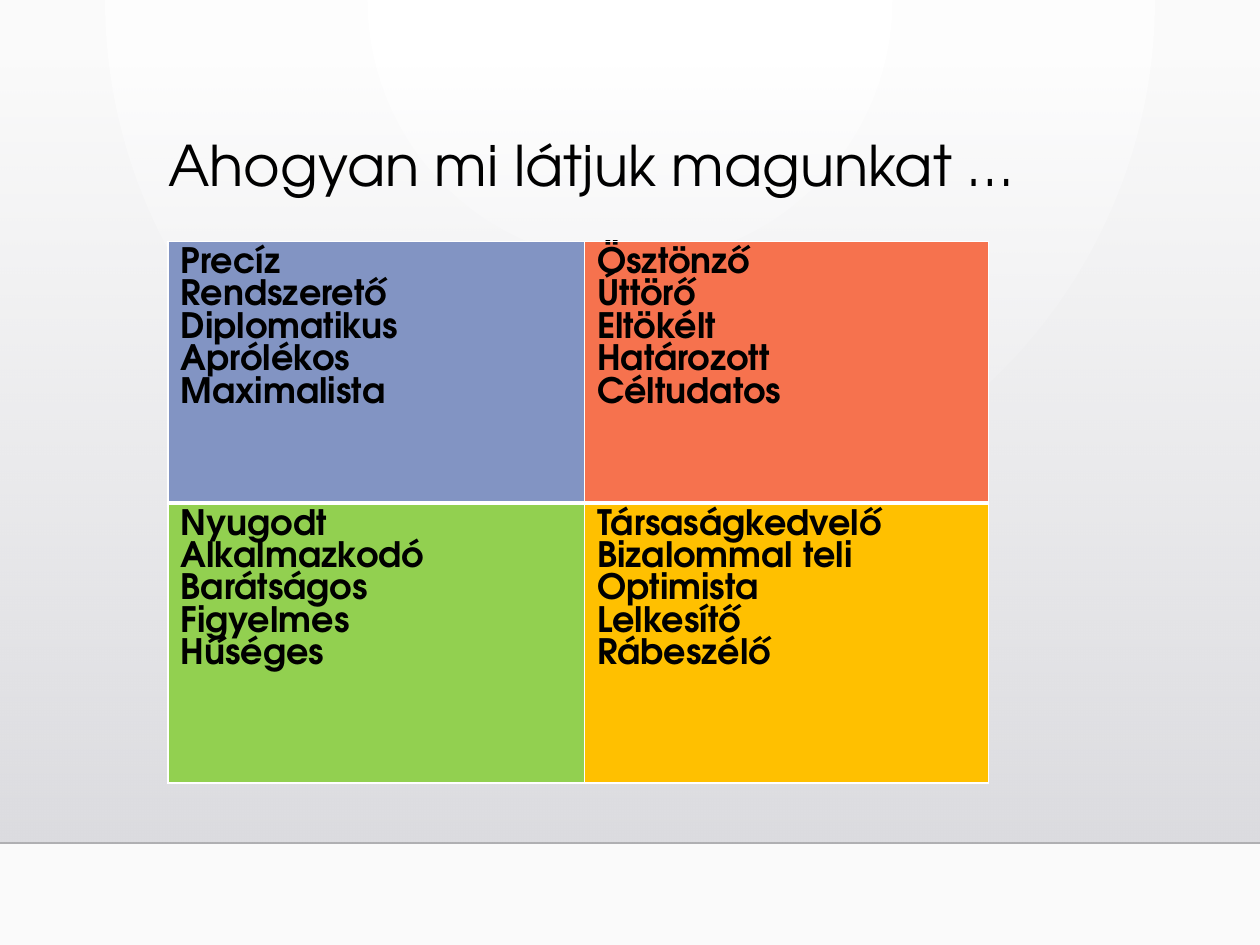
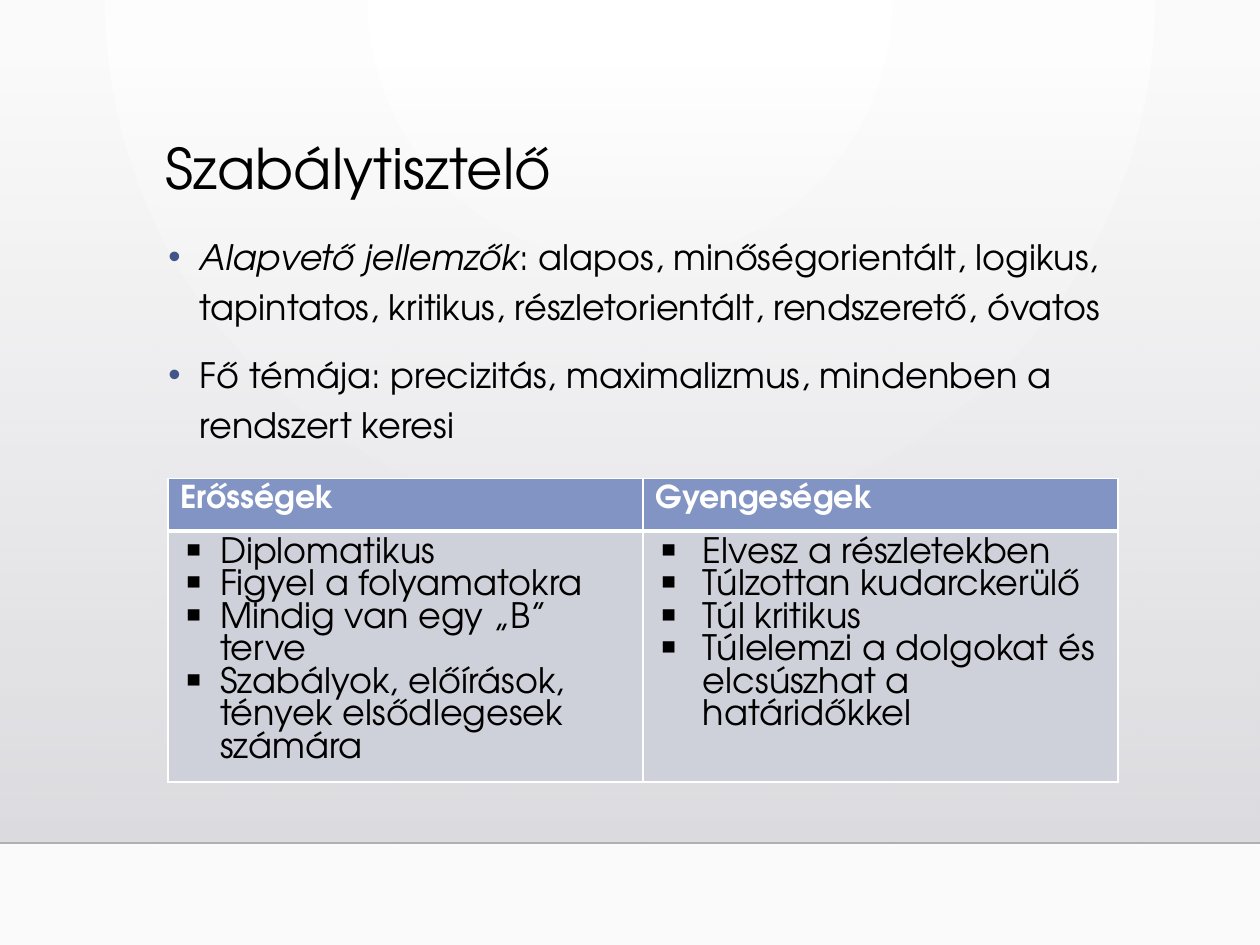
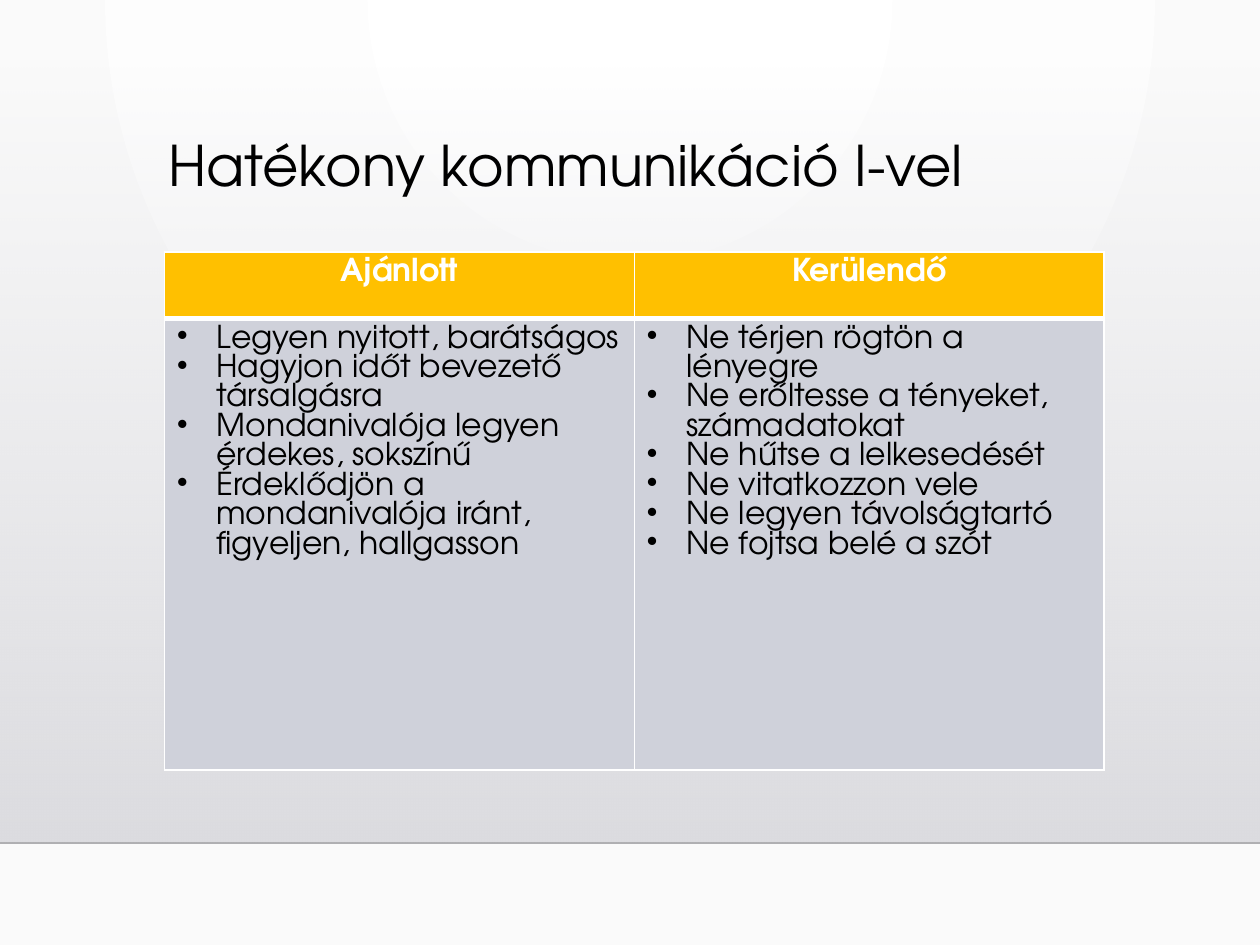
from lxml import etree
from pptx import Presentation
from pptx.dml.color import RGBColor
from pptx.enum.shapes import MSO_CONNECTOR as Connector, MSO_SHAPE as Preset
from pptx.enum.text import MSO_ANCHOR as Anchor, MSO_AUTO_SIZE as AutoSize, PP_ALIGN as Align
from pptx.oxml.ns import qn
from pptx.util import Pt

FONT = "TeX Gyre Adventor"
BLACK = RGBColor(0x00, 0x00, 0x00)
WHITE = RGBColor(0xFF, 0xFF, 0xFF)
PAPER = RGBColor(0xFA, 0xFA, 0xFA)
BAND_TOP = RGBColor(0xDC, 0xDC, 0xE0)
BAND_BOTTOM = RGBColor(0xDE, 0xDE, 0xE2)
RULE = RGBColor(0x00, 0x00, 0x01)
BULLET = RGBColor(0x41, 0x55, 0x88)
BLUE = RGBColor(0x82, 0x94, 0xC3)
RED = RGBColor(0xF6, 0x72, 0x4E)
GREEN = RGBColor(0x92, 0xD0, 0x50)
YELLOW = RGBColor(0xFF, 0xC0, 0x00)
GREY = RGBColor(0xCF, 0xD1, 0xDA)

TITLE_AND_BODY, TITLE_ONLY = 1, 5


def style_paragraph(para, size, color, bold=False, spacing=1.0, bullet=None, indent=0, bullet_color=None):
    """Set bullet, hanging indent (points), line spacing and font of a paragraph."""
    props = para._p.get_or_add_pPr()
    if bullet:
        props.set("marL", str(Pt(indent)))
        props.set("indent", str(-Pt(indent)))
        if bullet_color is not None:
            tint = etree.SubElement(props, qn("a:buClr"))
            etree.SubElement(tint, qn("a:srgbClr"), val=str(bullet_color))
        etree.SubElement(props, qn("a:buChar"), char=bullet)
    para.line_spacing = spacing
    para.space_before = Pt(0)
    for span in para.runs:
        span.font.name = FONT
        span.font.size = Pt(size)
        span.font.bold = bold
        span.font.color.rgb = color


def add_grid(page, left, top, widths, heights, cells):
    """Add a white-ruled table; each cell is (lines, fill, paragraph style, alignment)."""
    frame = page.shapes.add_table(len(heights), len(widths), Pt(left), Pt(top),
                                  Pt(sum(widths)), Pt(sum(heights)))
    table = frame.table
    table.first_row = table.horz_banding = False
    for column, width in zip(table.columns, widths):
        column.width = Pt(width)
    for row, height in zip(table.rows, heights):
        row.height = Pt(height)
    for index, (lines, fill, style, align) in enumerate(cells):
        row_number, column_number = divmod(index, len(widths))
        cell = table.cell(row_number, column_number)
        cell.text_frame.text = "\n".join(lines)
        for para in cell.text_frame.paragraphs:
            style_paragraph(para, **style)
            para.alignment = align
        props = cell._tc.get_or_add_tcPr()
        divider = "a:lnB" if row_number == 0 else "a:lnT"
        for side in ("a:lnL", "a:lnR", "a:lnT", "a:lnB"):
            border = etree.SubElement(props, qn(side), w=str(Pt(3 if side == divider else 1)))
            solid = etree.SubElement(border, qn("a:solidFill"))
            etree.SubElement(solid, qn("a:srgbClr"), val=str(WHITE))
        cell.fill.solid()
        cell.fill.fore_color.rgb = fill


deck = Presentation()
deck.slide_width, deck.slide_height = Pt(720), Pt(540)

# Pages and titles
pages = []
for layout, title_text, left, top in [
    (TITLE_ONLY, "Ahogyan mi látjuk magunkat …", 89, 75.5),
    (TITLE_AND_BODY, "Szabálytisztelő", 87.5, 77),
    (TITLE_ONLY, "Hatékony kommunikáció I-vel", 89, 75.5),
]:
    page = deck.slides.add_slide(deck.slide_layouts[layout])
    title = page.shapes.title
    title.left, title.top, title.width, title.height = Pt(left), Pt(top), Pt(518), Pt(83)
    title.text_frame.text = title_text
    title.text_frame.vertical_anchor = Anchor.TOP
    title.text_frame.auto_size = AutoSize.NONE
    para = title.text_frame.paragraphs[0]
    para.alignment = Align.LEFT
    style_paragraph(para, 32, BLACK, spacing=0.9)
    pages.append(page)
self_image, rule_keeper, communication = pages

# Shared background, band and rule on the master
master = deck.slide_master
backdrop = master.background.fill
backdrop.gradient()
for stop, color in zip(backdrop.gradient_stops, (WHITE, PAPER)):
    stop.color.rgb = color
gradient = next(master.element.iter(qn("a:gradFill")))
gradient.remove(gradient.find(qn("a:lin")))
circle = etree.SubElement(gradient, qn("a:path"), path="circle")
etree.SubElement(circle, qn("a:fillToRect"), l="43000", t="0", r="43000", b="100000")

band = self_image.shapes.add_shape(Preset.RECTANGLE, 0, Pt(36.75), Pt(720), Pt(445))
band.shadow.inherit = False
band.line.fill.background()
band.fill.gradient()
band.fill.gradient_angle = 270
for stop, color in zip(band.fill.gradient_stops, (BAND_TOP, BAND_BOTTOM)):
    stop.color.rgb = color
etree.SubElement(next(band.element.iter(qn("a:srgbClr"))), qn("a:alpha"), val="0")

rule = self_image.shapes.add_connector(Connector.STRAIGHT, 0, Pt(481.8), Pt(720), Pt(481.8))
rule.line.width = Pt(1)
rule.line.color.rgb = RULE
etree.SubElement(next(rule.element.iter(qn("a:srgbClr"))), qn("a:alpha"), val="20000")
etree.SubElement(rule.element.spPr, qn("a:effectLst"))

for position, shape in enumerate((band, rule), start=2):
    master.shapes.element.insert(position, shape.element)

# Slide 1: four temperaments
trait = dict(size=20, color=BLACK, bold=True)
quadrants = [
    (["Precíz", "Rendszerető", "Diplomatikus", "Aprólékos", "Maximalista"], BLUE),
    (["Ösztönző", "Úttörő", "Eltökélt", "Határozott", "Céltudatos"], RED),
    (["Nyugodt", "Alkalmazkodó", "Barátságos", "Figyelmes", "Hűséges"], GREEN),
    (["Társaságkedvelő", "Bizalommal teli", "Optimista", "Lelkesítő", "Rábeszélő"], YELLOW),
]
add_grid(self_image, 96, 138, [238, 231], [149.5, 160],
         [(lines, fill, trait, Align.LEFT) for lines, fill in quadrants])

# Slide 2: the rule keeper
body = rule_keeper.placeholders[1]
body.left, body.top, body.width, body.height = Pt(89), Pt(126), Pt(601), Pt(304)
body.text_frame.auto_size = AutoSize.NONE
body.text_frame.text = "Alapvető jellemzők"
features, theme = body.text_frame.paragraphs[0], body.text_frame.add_paragraph()
features.add_run().text = (": alapos, minőségorientált, logikus, tapintatos, kritikus, "
                           "részletorientált, rendszerető, óvatos")
theme.text = "Fő témája: precizitás, maximalizmus, mindenben a rendszert keresi"
for para in (features, theme):
    style_paragraph(para, 20, BLACK, spacing=1.2, bullet="•", indent=18, bullet_color=BULLET)
features.runs[0].font.italic = True
theme.space_before = Pt(10)

heading = dict(size=18, color=WHITE, bold=True)
strength = dict(size=20, color=BLACK, bullet="▪", indent=22.5)
weakness = dict(strength, indent=27)
add_grid(rule_keeper, 96, 273.5, [271.5, 271.5], [30, 143.5], [
    (["Erősségek"], BLUE, heading, Align.LEFT),
    (["Gyengeségek"], BLUE, heading, Align.LEFT),
    (["Diplomatikus", "Figyel a folyamatokra", "Mindig van egy „B” terve",
      "Szabályok, előírások, tények elsődlegesek számára"], GREY, strength, Align.LEFT),
    (["Elvesz a részletekben", "Túlzottan kudarckerülő", "Túl kritikus",
      "Túlelemzi a dolgokat és elcsúszhat a határidőkkel"], GREY, weakness, Align.LEFT),
])

# Slide 3: what to do and what to avoid
advice = dict(size=18, color=BLACK, bullet="•", indent=22.5)
add_grid(communication, 94, 144, [268.5, 268.5], [38, 258], [
    (["Ajánlott"], YELLOW, heading, Align.CENTER),
    (["Kerülendő"], YELLOW, heading, Align.CENTER),
    (["Legyen nyitott, barátságos", "Hagyjon időt bevezető társalgásra",
      "Mondanivalója legyen érdekes, sokszínű",
      "Érdeklődjön a mondanivalója iránt, figyeljen, hallgasson"], GREY, advice, Align.LEFT),
    (["Ne térjen rögtön a lényegre", "Ne erőltesse a tényeket, számadatokat",
      "Ne hűtse a lelkesedését", "Ne vitatkozzon vele", "Ne legyen távolságtartó",
      "Ne fojtsa belé a szót"], GREY, advice, Align.LEFT),
])

deck.save("out.pptx")
